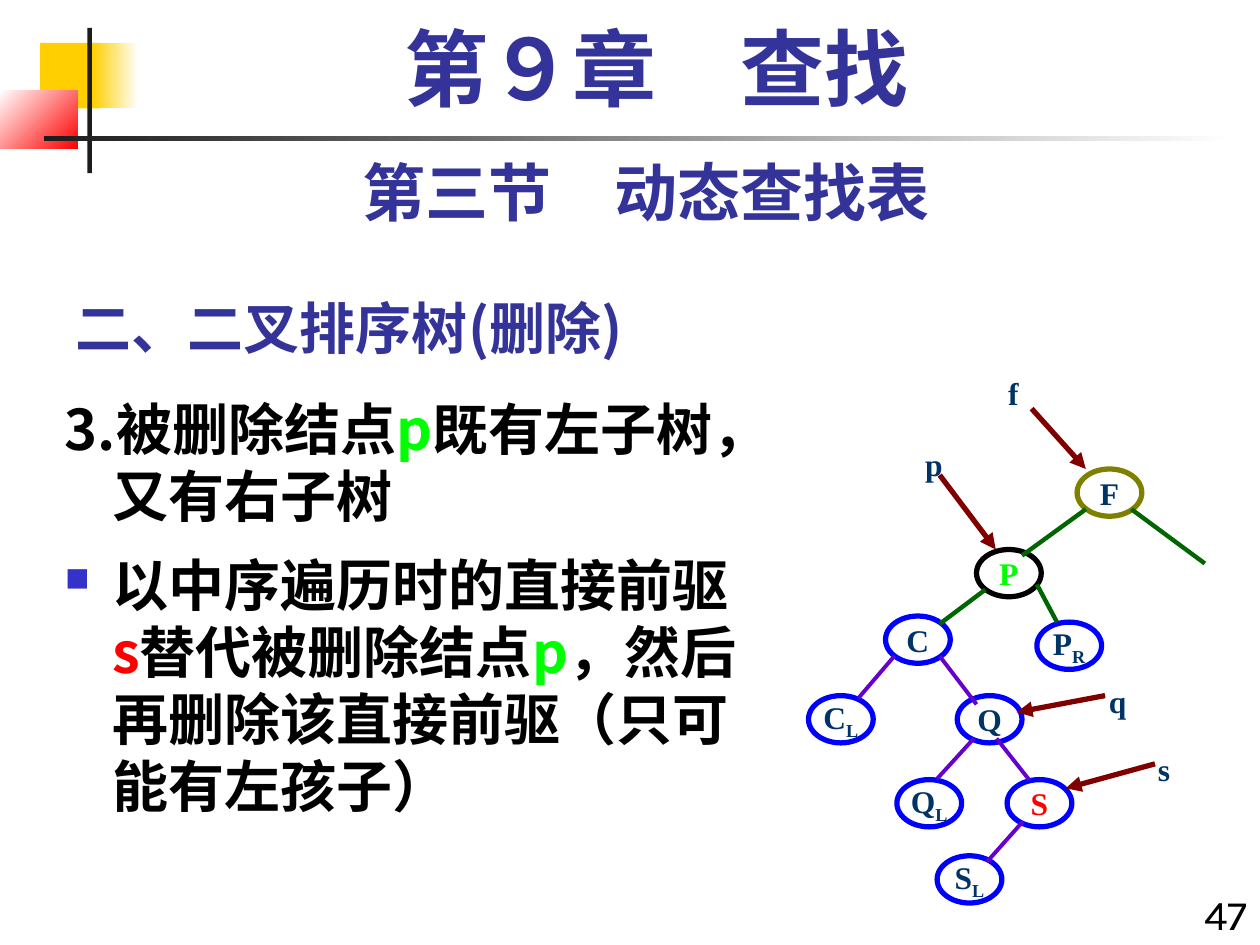
from lxml import etree
from pptx import Presentation
from pptx.dml.color import RGBColor
from pptx.enum import shapes, text
from pptx.oxml.ns import qn
from pptx.util import Pt

CJK, SERIF, SANS = "Noto Sans CJK SC", "Times New Roman", "Karla"
INDIGO, NAVY, BLACK, WHITE = "333399", "003366", "000000", "FFFFFF"
GREEN, RED, BLUE = "00FF00", "FF0000", "0000FF"
BRANCH, SUBBRANCH, POINTER = "006600", "6600CC", "800000"
NODE_W, NODE_H = 37, 27

# left, top, width, height, start colour, end colour, clockwise angle
ORNAMENTS = [
    (23, 24.5, 34.5, 37.5, "FFCF01", None, 0),
    (53, 24.5, 26, 37.5, "FFCF01", WHITE, 0),
    (0, 52, 44.5, 33, WHITE, RED, 45),
    (50, 16, 2.5, 83, "1C1C1C", None, 0),
    (25, 78, 680, 2.5, "1C1C1C", WHITE, 0),
]
# letter, subscript, left, top, outline, text colour
NODES = [
    ("P", "", 558, 314, BLACK, GREEN),
    ("C", "", 506, 352, BLUE, NAVY),
    ("F", "", 615.5, 268, "808000", NAVY),
    ("P", "R", 592.5, 355.5, BLUE, NAVY),
    ("C", "L", 462, 397.5, BLUE, NAVY),
    ("Q", "", 547, 397.5, BLUE, NAVY),
    ("S", "L", 535.5, 489, BLUE, NAVY),
    ("Q", "L", 512.5, 445.5, BLUE, NAVY),
    ("S", "", 575.5, 445.5, BLUE, RED),
]
BRANCHES = [
    (563, 337, 537, 356.5),
    (620.5, 291, 584, 317.5),
    (646.5, 291, 688.5, 322),
    (592.5, 334, 604, 355.5),
]
SUBBRANCHES = [
    (511, 375, 490.5, 399),
    (537, 375, 558, 402.5),
    (556.5, 422, 535.5, 445),
    (569.5, 422, 588, 445.5),
    (584.5, 469.5, 564, 492.5),
]
# name, left and top of its label, arrow ends
POINTERS = [
    ("p", 521.5, 250.5, (537, 271.5, 569, 314)),
    ("f", 569, 210, (589.5, 233.5, 620.5, 268)),
    ("q", 626.5, 386, (631.5, 397.5, 581, 407)),
    ("s", 654.5, 425, (660, 436.5, 609, 450.5)),
]


def rgb(value):
    return RGBColor.from_string(value)


def add_run(p, words, size, color, font, bold=True):
    r = p.add_run()
    r.text = words
    r.font.size, r.font.bold, r.font.name = Pt(size), bold, font
    r.font.color.rgb = rgb(color)
    ea = etree.SubElement(r._r.get_or_add_rPr(), qn("a:ea"))
    ea.set("typeface", CJK)
    return r


def add_box(s, left, top, width, height, wrap=True):
    tf = s.shapes.add_textbox(Pt(left), Pt(top), Pt(width), Pt(height)).text_frame
    tf.word_wrap = wrap
    return tf


def add_line_of_text(s, box, words, size, color, font, align, bold=True):
    p = add_box(s, *box).paragraphs[0]
    p.alignment = align
    add_run(p, words, size, color, font, bold)


def add_ornament(s, left, top, width, height, start, end, angle):
    sp = s.shapes.add_shape(shapes.MSO_SHAPE.RECTANGLE,
                            Pt(left), Pt(top), Pt(width), Pt(height))
    sp.shadow.inherit = False
    sp.line.fill.background()
    if end is None:
        sp.fill.solid()
        sp.fill.fore_color.rgb = rgb(start)
        return
    sp.fill.gradient()
    sp.fill.gradient_angle = -angle % 360
    for stop, color in zip(sp.fill.gradient_stops, (start, end)):
        stop.color.rgb = rgb(color)


def add_title(s, words):
    sp = s.shapes.title
    sp.left, sp.top, sp.width, sp.height = Pt(36), Pt(156), Pt(450), Pt(54)
    tf = sp.text_frame
    tf.auto_size = text.MSO_AUTO_SIZE.NONE
    tf.vertical_anchor = text.MSO_ANCHOR.BOTTOM
    p = tf.paragraphs[0]
    p.alignment = text.PP_ALIGN.LEFT
    add_run(p, words, 32, INDIGO, CJK)


def set_hanging(p, bullet=False):
    pPr = p._p.get_or_add_pPr()
    pPr.set("marL", str(Pt(27)))
    pPr.set("indent", str(-Pt(27)))
    if bullet:
        clr = etree.SubElement(pPr, qn("a:buClr"))
        etree.SubElement(clr, qn("a:srgbClr")).set("val", "3333CC")
        etree.SubElement(pPr, qn("a:buSzPct")).set("val", "60000")
        etree.SubElement(pPr, qn("a:buChar")).set("char", "■")


def add_body(s):
    tf = add_box(s, 30, 222, 408, 318)
    paragraphs = [
        (False, [("3.被删除结点", BLACK), ("p", GREEN),
                 ("既有左子树，又有右子树", BLACK)]),
        (True, [("以中序遍历时的直接前驱", BLACK), ("s", RED),
                ("替代被删除结点", BLACK), ("p", GREEN),
                ("，然后再删除该直接前驱（只可能有左孩子）", BLACK)]),
    ]
    for i, (bullet, runs) in enumerate(paragraphs):
        p = tf.add_paragraph() if i else tf.paragraphs[0]
        p.line_spacing = Pt(38.4)
        p.space_before = Pt(12 if i else 0)
        set_hanging(p, bullet)
        for words, color in runs:
            add_run(p, words, 32, color, CJK)


def add_node(s, letter, subscript, left, top, outline, color):
    sp = s.shapes.add_shape(shapes.MSO_SHAPE.OVAL,
                            Pt(left), Pt(top), Pt(NODE_W), Pt(NODE_H))
    sp.shadow.inherit = False
    sp.fill.background()
    sp.line.color.rgb, sp.line.width = rgb(outline), Pt(3)
    tf = sp.text_frame
    tf.word_wrap = False
    tf.vertical_anchor = text.MSO_ANCHOR.MIDDLE
    p = tf.paragraphs[0]
    p.alignment = text.PP_ALIGN.CENTER
    add_run(p, letter, 18, color, SERIF)
    if subscript:
        r = add_run(p, subscript, 18, color, SERIF)
        r._r.get_or_add_rPr().set("baseline", "-25000")


def add_line(s, ends, color, width, arrow=False):
    c = s.shapes.add_connector(shapes.MSO_CONNECTOR.STRAIGHT, *map(Pt, ends))
    c.line.color.rgb, c.line.width = rgb(color), Pt(width)
    if arrow:
        etree.SubElement(c.line._get_or_add_ln(), qn("a:tailEnd")).set("type", "triangle")
    etree.SubElement(c._element.spPr, qn("a:effectLst"))


def add_pointer(s, name, left, top, ends):
    p = add_box(s, left, top, 24, 29, wrap=False).paragraphs[0]
    add_run(p, name, 18, NAVY, SERIF)
    add_line(s, ends, POINTER, 3, arrow=True)


def main():
    prs = Presentation()
    prs.slide_width, prs.slide_height = Pt(720), Pt(540)
    s = prs.slides.add_slide(prs.slide_layouts[5])
    for ornament in ORNAMENTS:
        add_ornament(s, *ornament)
    center, right = text.PP_ALIGN.CENTER, text.PP_ALIGN.RIGHT
    add_title(s, "二、二叉排序树(删除)")
    add_line_of_text(s, (672, 504, 48, 42), "47", 24, BLACK, SANS, right, bold=False)
    add_line_of_text(s, (36, 84, 666, 50), "第三节　动态查找表", 36, INDIGO, SANS, center)
    add_body(s)
    add_line_of_text(s, (48, 6, 654, 60), "第９章　查找", 48, INDIGO, SERIF, center)
    for node in NODES:
        add_node(s, *node)
    for ends in BRANCHES:
        add_line(s, ends, BRANCH, 2.5)
    for ends in SUBBRANCHES:
        add_line(s, ends, SUBBRANCH, 2.25)
    for pointer in POINTERS:
        add_pointer(s, *pointer)
    prs.save("out.pptx")


if __name__ == "__main__":
    main()
